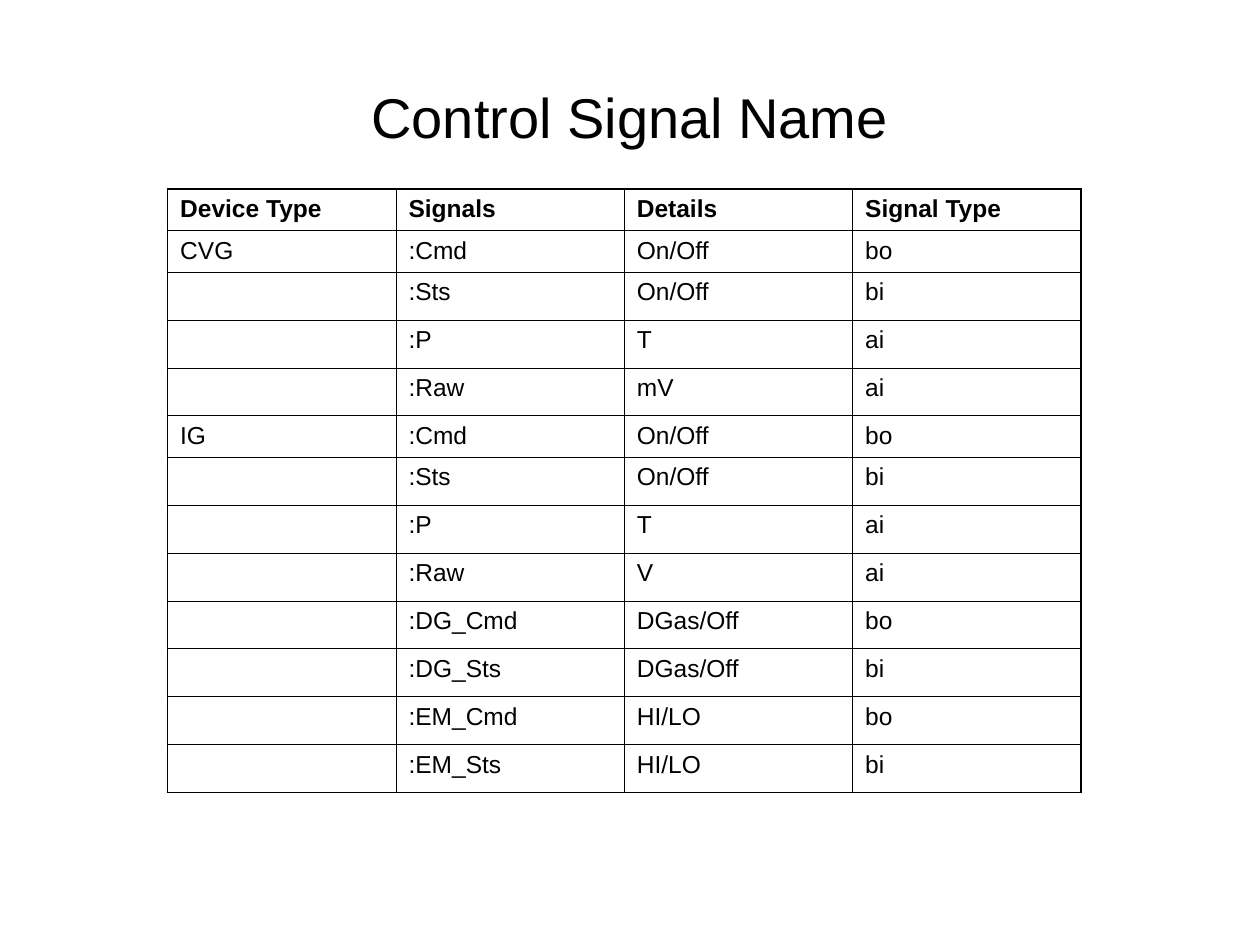
from dataclasses import dataclass
from typing import NamedTuple

from lxml import etree
from pptx import Presentation
from pptx import util as u
from pptx.dml.color import RGBColor
from pptx.enum import text
from pptx.oxml import ns


@dataclass(frozen=True)
class Theme:
    font: str = "Arial"
    ink: str = "000000"
    title_size: float = 32
    cell_size: float = 14
    inner_line: float = 0.45
    outer_line: float = 1.08


class Signal(NamedTuple):
    device: str
    name: str
    details: str
    kind: str


THEME = Theme()
HEADER = Signal("Device Type", "Signals", "Details", "Signal Type")
SIGNALS = [
    Signal("CVG", ":Cmd", "On/Off", "bo"),
    Signal("", ":Sts", "On/Off", "bi"),
    Signal("", ":P", "T", "ai"),
    Signal("", ":Raw", "mV", "ai"),
    Signal("IG", ":Cmd", "On/Off", "bo"),
    Signal("", ":Sts", "On/Off", "bi"),
    Signal("", ":P", "T", "ai"),
    Signal("", ":Raw", "V", "ai"),
    Signal("", ":DG_Cmd", "DGas/Off", "bo"),
    Signal("", ":DG_Sts", "DGas/Off", "bi"),
    Signal("", ":EM_Cmd", "HI/LO", "bo"),
    Signal("", ":EM_Sts", "HI/LO", "bi"),
]


def style_paragraph(p, size: float, bold: bool = False) -> None:
    p.font.name = THEME.font
    p.font.size = u.Pt(size)
    p.font.bold = bold
    p.font.color.rgb = RGBColor.from_string(THEME.ink)


def add_title(s, title: str) -> None:
    sp = s.shapes.title
    sp.left, sp.top = u.Inches(0.5), u.Inches(0.3)
    sp.width, sp.height = u.Inches(9), u.Inches(1.25)
    tf = sp.text_frame
    tf.text = title
    tf.vertical_anchor = text.MSO_ANCHOR.MIDDLE
    p = tf.paragraphs[0]
    p.alignment = text.PP_ALIGN.CENTER
    style_paragraph(p, THEME.title_size)


def set_border(cell, side: str, width: float) -> None:
    props = cell._tc.get_or_add_tcPr()
    line = etree.SubElement(props, ns.qn(f"a:ln{side}"), w=str(u.Pt(width)))
    fill = etree.SubElement(line, ns.qn("a:solidFill"))
    etree.SubElement(fill, ns.qn("a:srgbClr"), val=THEME.ink)


def add_signal_table(s, rows: list[Signal]) -> None:
    last_row, last_col = len(rows) - 1, len(HEADER) - 1
    heights = [u.Inches(0.33 if row.device else 0.38) for row in rows]
    frame = s.shapes.add_table(
        len(rows), len(HEADER), u.Inches(1.33), u.Inches(1.5),
        u.Inches(7.25), sum(heights),
    )
    table = frame.table
    table.first_row = table.horz_banding = False
    for r, (row, height) in enumerate(zip(rows, heights)):
        table.rows[r].height = height
        for c, value in enumerate(row):
            cell = table.cell(r, c)
            cell.text = value
            style_paragraph(cell.text_frame.paragraphs[0], THEME.cell_size, r == 0)
            edges = {"L": c == 0, "R": c == last_col, "T": r == 0, "B": r == last_row}
            for side, outer in edges.items():
                set_border(cell, side, THEME.outer_line if outer else THEME.inner_line)
            cell.fill.background()


def main() -> None:
    prs = Presentation()
    prs.slide_width, prs.slide_height = u.Inches(10), u.Inches(7.5)
    s = prs.slides.add_slide(prs.slide_layouts[5])
    add_title(s, "Control Signal Name")
    add_signal_table(s, [HEADER, *SIGNALS])
    prs.save("out.pptx")


if __name__ == "__main__":
    main()
